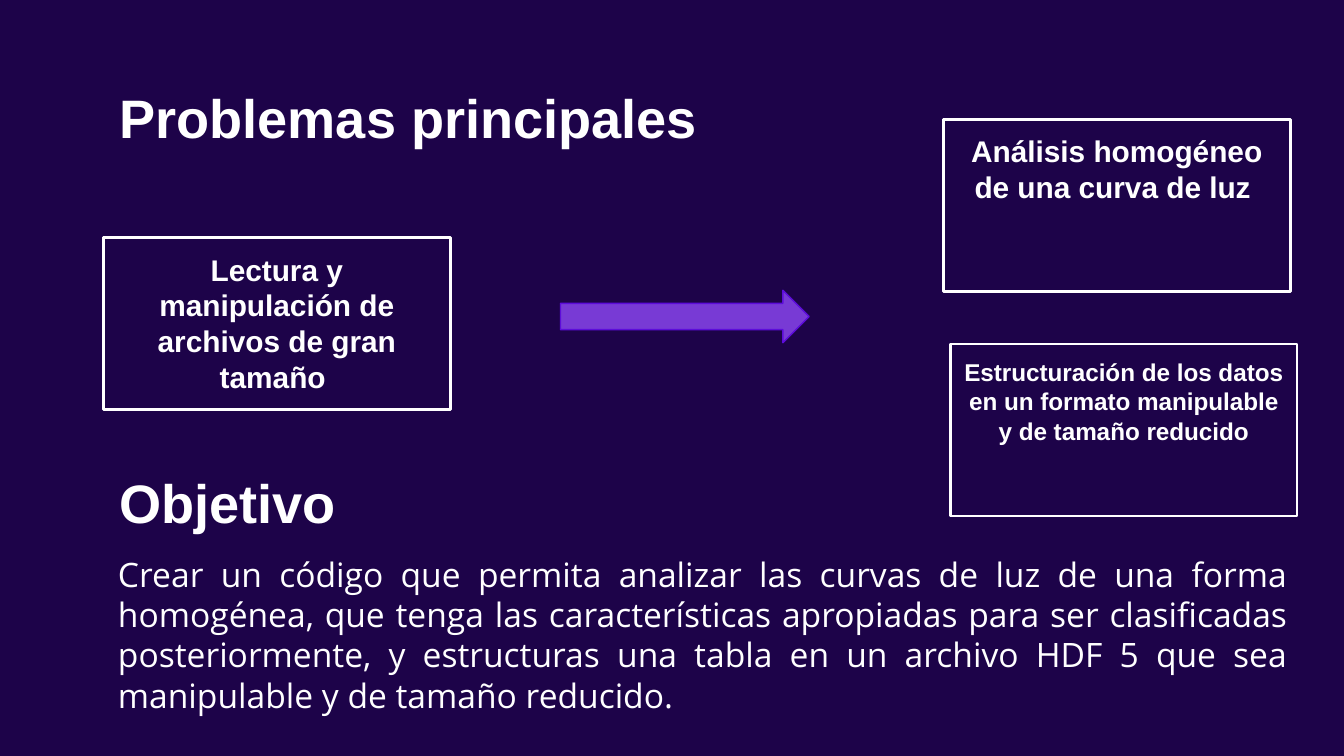
from pptx import Presentation
from pptx.dml.color import RGBColor
from pptx.enum.shapes import MSO_SHAPE
from pptx.enum.text import MSO_ANCHOR, PP_ALIGN
from pptx.util import Inches, Pt

RECTANGLE, RIGHT_ARROW = MSO_SHAPE.RECTANGLE, MSO_SHAPE.RIGHT_ARROW
LEFT, CENTER, JUSTIFY = PP_ALIGN.LEFT, PP_ALIGN.CENTER, PP_ALIGN.JUSTIFY
TOP = MSO_ANCHOR.TOP

NIGHT = RGBColor(0x1D, 0x03, 0x49)
WHITE = RGBColor(0xFF, 0xFF, 0xFF)
PURPLE = RGBColor(0x78, 0x3A, 0xD5)
VIOLET = RGBColor(0x5D, 0x0C, 0xDA)

HEADINGS = [("Problemas principales", 0.53), ("Objetivo", 3.39)]
PROBLEMS = [
    ("Análisis homogéneo de una curva de luz ", 7.02, 0.89, 16),
    ("Lectura y manipulación de archivos de gran tamaño ", 0.77, 1.77, 16),
    ("Estructuración de los datos en un formato manipulable y de tamaño reducido",
     7.07, 2.56, 13),
]
OBJECTIVE = (
    "Crear un código que permita analizar las curvas de luz de una forma homogénea, "
    "que tenga las características apropiadas para ser clasificadas posteriormente, "
    "y estructuras una tabla en un archivo HDF 5 que sea manipulable y de tamaño reducido."
)


def write_text(box, text, *, size, font="Arial", bold=True, align=LEFT):
    frame = box.text_frame
    frame.word_wrap = True
    frame.vertical_anchor = TOP
    frame.margin_left = frame.margin_right = Inches(0.1)
    frame.margin_top = frame.margin_bottom = Inches(0.1)
    para = frame.paragraphs[0]
    para.alignment = align
    span = para.add_run()
    span.text = text
    span.font.name = font
    span.font.size = Pt(size)
    span.font.bold = bold
    span.font.color.rgb = WHITE


class SlideBuilder:
    def __init__(self, page):
        self.page = page
        page.background.fill.solid()
        page.background.fill.fore_color.rgb = NIGHT

    def text(self, text, left, top, width, height, **style):
        box = self.page.shapes.add_textbox(
            Inches(left), Inches(top), Inches(width), Inches(height))
        write_text(box, text, **style)

    def shape(self, kind, left, top, width, height, line, line_width, fill=None):
        shape = self.page.shapes.add_shape(
            kind, Inches(left), Inches(top), Inches(width), Inches(height))
        shape.shadow.inherit = False
        if fill is None:
            shape.fill.background()
        else:
            shape.fill.solid()
            shape.fill.fore_color.rgb = fill
        shape.line.color.rgb = line
        shape.line.width = Pt(line_width)
        return shape

    def problem(self, text, left, top, size):
        box = self.shape(RECTANGLE, left, top, 2.58, 1.28, WHITE, 1.5)
        write_text(box, text, size=size, align=CENTER)


def main():
    deck = Presentation()
    deck.slide_width = Inches(10)
    deck.slide_height = deck.slide_width * 9 // 16
    builder = SlideBuilder(deck.slides.add_slide(deck.slide_layouts[6]))

    for problem in PROBLEMS:
        builder.problem(*problem)
    for heading, top in HEADINGS:
        builder.text(heading, 0.79, top, 8.43, 0.63, size=29)
    builder.text(OBJECTIVE, 0.78, 4.02, 8.9, 1.49, size=18, font="Open Sans",
                 bold=False, align=JUSTIFY)
    builder.shape(RIGHT_ARROW, 4.17, 2.16, 1.85, 0.39, VIOLET, 0.75, fill=PURPLE)

    deck.save("out.pptx")


if __name__ == "__main__":
    main()
